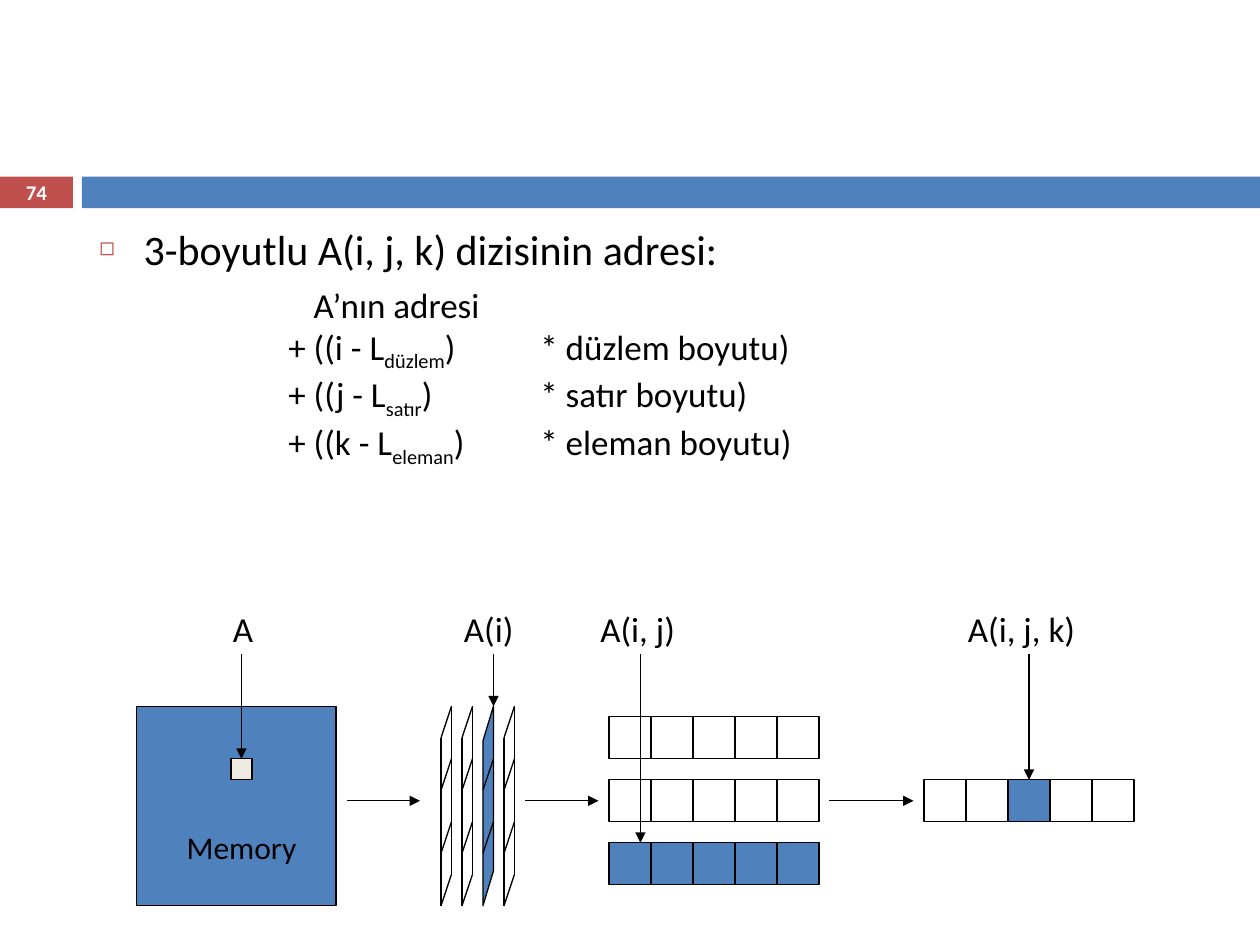
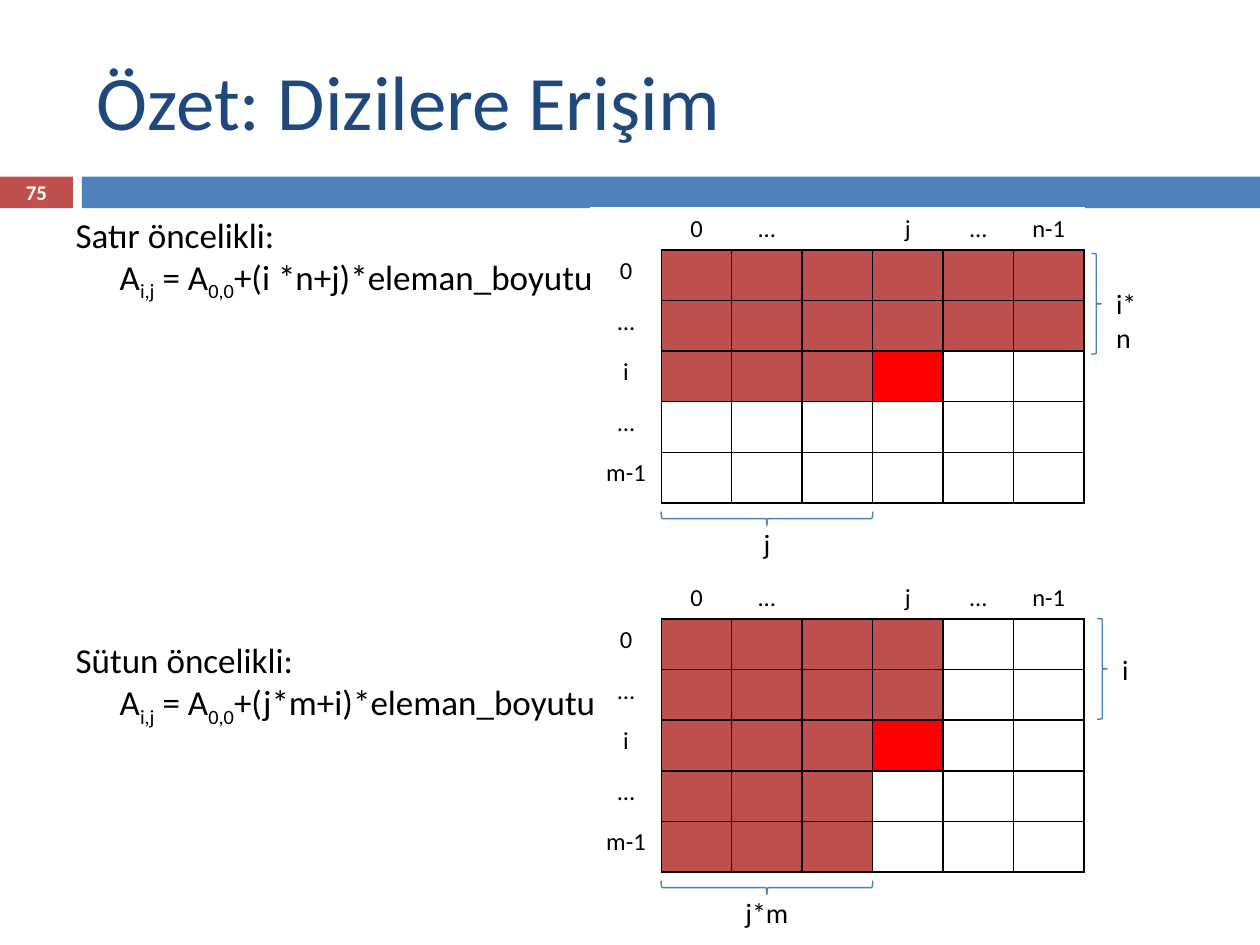
from dataclasses import dataclass
from typing import Callable, NamedTuple

from lxml.etree import SubElement
from pptx import Presentation
from pptx.dml.color import RGBColor as Rgb
from pptx.enum.shapes import MSO_CONNECTOR as Link, MSO_SHAPE as Kind
from pptx.enum.text import MSO_ANCHOR as Anchor, MSO_AUTO_SIZE as Fit, PP_ALIGN as Align
from pptx.oxml.ns import qn
from pptx.util import Cm, Pt

HUES = {
    "black": "000000", "white": "FFFFFF", "blue": "4F81BD", "navy": "1F497D",
    "brick": "C0504D", "red": "FF0000", "cream": "EEECE1",
}
FONT = "Calibri"
UNIT = 2.54 / 12  # grid step of the memory diagram, in cm
BASE = 13.18      # height at which its labels end
CELL = 4          # side of an array cell, in grid steps
ROWS = ["0", "…", "i", "…", "m-1"]
COLS = ["0", "…", "", "j", "…", "n-1"]
HIT = (2, 3)
COL_W, HEAD_H, ROW_H = 1.42, 0.84, 1.02
TABLE_X = 11.91


class Bit(NamedTuple):
    text: str
    sub: bool = False


@dataclass(frozen=True)
class Box:
    """Place and size in centimetres."""
    x: float
    y: float
    w: float
    h: float

    def lens(self) -> list:
        return [Cm(v) for v in (self.x, self.y, self.w, self.h)]


@dataclass(frozen=True)
class Para:
    bits: list[Bit]
    size: float
    left: float
    hang: float
    before: float = 0
    level: int = 0
    mark: str = ""


@dataclass(frozen=True)
class Panel:
    """One array table with its two braces."""
    top: float
    side_x: float
    side_gap: float
    side: str
    side_w: float
    foot: str
    foot_w: float
    used: Callable[[int, int], bool]


def rgb(hue: str) -> Rgb:
    return Rgb.from_string(HUES[hue])


def grid(x: float, y: float, w: float, h: float) -> Box:
    """Box from grid steps of the memory diagram."""
    return Box(x * UNIT, BASE + y * UNIT, w * UNIT, h * UNIT)


def write(p, bits: list[Bit], size: float, hue: str = "black", bold: bool = False) -> None:
    """Add runs; a line feed in a bit becomes a line break."""
    for bit in bits:
        for i, part in enumerate(bit.text.split("\n")):
            if i:
                p.add_line_break()
            run = p.add_run()
            run.text = part
            font = run.font
            font.name, font.size, font.bold = FONT, Pt(size), bold
            font.color.rgb = rgb(hue)
            if bit.sub:
                font._element.set("baseline", "-25000")


def label(slide, box: Box, text: str, size: float, align=Align.LEFT,
          hue: str = "black", bold: bool = False, anchor=Anchor.TOP):
    shape = slide.shapes.add_textbox(*box.lens())
    frame = shape.text_frame
    frame.word_wrap, frame.vertical_anchor = True, anchor
    p = frame.paragraphs[0]
    p.alignment = align
    write(p, [Bit(text)], size, hue, bold)
    return shape


def draw(slide, kind, box: Box, fill: str = "", line: str = "", width: float = 0.75):
    shape = slide.shapes.add_shape(kind, *box.lens())
    shape.shadow.inherit = False
    if fill:
        shape.fill.solid()
        shape.fill.fore_color.rgb = rgb(fill)
    else:
        shape.fill.background()
    if line:
        shape.line.color.rgb, shape.line.width = rgb(line), Pt(width)
    else:
        shape.line.fill.background()
    return shape


def stroke(slide, x1: float, y1: float, x2: float, y2: float, head: bool = False):
    """Straight line between two grid points."""
    a, b = grid(x1, y1, 0, 0), grid(x2, y2, 0, 0)
    line = slide.shapes.add_connector(Link.STRAIGHT, Cm(a.x), Cm(a.y), Cm(b.x), Cm(b.y))
    line.line.color.rgb, line.line.width = rgb("black"), Pt(0.75)
    props = line._element.spPr
    if head:
        SubElement(props.find(qn("a:ln")), qn("a:tailEnd"), type="triangle")
    SubElement(props, qn("a:effectLst"))
    return line


def fill_body(slide, box: Box, paras: list[Para]) -> None:
    body = slide.placeholders[1]
    body.left, body.top, body.width, body.height = box.lens()
    frame = body.text_frame
    frame.auto_size = Fit.NONE
    for i, para in enumerate(paras):
        p = frame.add_paragraph() if i else frame.paragraphs[0]
        p.level, p.space_before = para.level, Pt(para.before)
        props = p._p.get_or_add_pPr()
        props.set("marL", str(Cm(para.left)))
        props.set("indent", str(Cm(para.hang)))
        props.set("defTabSz", str(Cm(2.54)))
        if para.mark:
            hue = SubElement(props, qn("a:buClr"))
            SubElement(hue, qn("a:srgbClr"), val=HUES["brick"])
            SubElement(props, qn("a:buSzPct"), val="60000")
            SubElement(props, qn("a:buChar"), char=para.mark)
        else:
            SubElement(props, qn("a:buNone"))
        write(p, para.bits, para.size)
    slide.shapes._spTree.append(body._element)  # text lies above the tables


def start(deck, page: int, title: str = ""):
    """New slide with title, bands and page number."""
    slide = deck.slides.add_slide(deck.slide_layouts[1])
    head = slide.shapes.title
    if title:
        head.left, head.top, head.width, head.height = Box(1.7, 0.64, 22.66, 2.74).lens()
        head.text_frame.vertical_anchor = Anchor.MIDDLE
        p = head.text_frame.paragraphs[0]
        p.alignment = Align.LEFT
        write(p, [Bit(title)], 44, "navy")
    else:
        head._element.getparent().remove(head._element)
    draw(slide, Kind.RECTANGLE, Box(0, 3.56, 1.47, 0.64), "brick")
    draw(slide, Kind.RECTANGLE, Box(1.65, 3.56, 23.75, 0.64), "blue")
    label(slide, Box(0, 3.53, 1.47, 0.69), str(page), 11.9, Align.CENTER,
          "white", True, Anchor.MIDDLE)
    return slide


def cells(slide, x: float, y: float, fills: list[str]) -> list:
    return [draw(slide, Kind.RECTANGLE, grid(x + CELL * i, y, CELL, CELL), fill, "black")
            for i, fill in enumerate(fills)]


def planes(slide) -> None:
    for x in (42, 44, 46, 48):
        if x == 46:
            plane = draw(slide, Kind.PARALLELOGRAM, grid(x - 9, 14, 19, 1), "blue", "black")
            plane.adjustments[0] = 3.31
            plane.rotation = 270
            plane._element.spPr.find(qn("a:xfrm")).set("flipH", "1")
        else:
            ends = [(x, 8), (x, 24), (x + 1, 21), (x + 1, 5), (x, 8)]
            for a, b in zip(ends, ends[1:]):
                stroke(slide, *a, *b)
        for y in (13, 19):
            stroke(slide, x, y, x + 1, y - 3)


def memory(slide) -> None:
    """Path from the whole memory to a single element."""
    draw(slide, Kind.RECTANGLE, grid(13, 5, 19, 19), "blue", "black")
    spot = draw(slide, Kind.RECTANGLE, grid(22, 10, 2, 2), "cream", "black")
    label(slide, grid(16, 16, 14, 5), "Memory", 18, Align.CENTER)
    planes(slide)
    for y, fill in ((6, ""), (12, ""), (18, "blue")):
        cells(slide, 58, y, [fill] * 5)
    row = cells(slide, 88, 12, ["", "", "blue", "", ""])
    for x, end in ((33, 40), (50, 57), (79, 87)):
        stroke(slide, x, 14, end, 14, True)

    marks = [("A", 21, 6, 23, 10), ("A(i)", 43, 9, 47, 5),
             ("A(i, j)", 56, 11, 61, 18), ("A(i, j, k)", 91, 14, 98, 12)]
    tags, drops = [], []
    for text, x, w, mid, end in marks:
        tags.append(label(slide, grid(x, -5, w, 5), text, 20))
        drops.append(stroke(slide, mid, 0, mid, end, True))
    drops[0].end_connect(spot, 0)
    drops[-1].begin_connect(tags[-1], 2)
    drops[-1].end_connect(row[2], 0)


def edge(cell, hues: dict[str, str]) -> None:
    """Set the cell borders, keyed L, R, T and B in this order."""
    props = cell._tc.get_or_add_tcPr()
    for i, (side, hue) in enumerate(hues.items()):
        line = SubElement(props, qn(f"a:ln{side}"), w=str(Pt(1)))
        fill = SubElement(line, qn("a:solidFill"))
        SubElement(fill, qn("a:srgbClr"), val=HUES[hue])
        props.insert(i, line)


def array(slide, panel: Panel) -> None:
    n_row, n_col = len(ROWS) + 1, len(COLS) + 1
    box = Box(TABLE_X, panel.top, COL_W * n_col, HEAD_H + ROW_H * len(ROWS))
    table = slide.shapes.add_table(n_row, n_col, *box.lens()).table
    table.first_row = table.horz_banding = False
    for col in table.columns:
        col.width = Cm(COL_W)
    for r, line in enumerate(table.rows):
        line.height = Cm(ROW_H if r else HEAD_H)
        for c, cell in enumerate(line.cells):
            inner = r > 0 and c > 0
            text, hue = "", "white"
            if inner:
                spot = (r - 1, c - 1)
                hue = "red" if spot == HIT else "brick" if panel.used(*spot) else "white"
            elif r or c:
                text = ROWS[r - 1] if r else COLS[c - 1]
            p = cell.text_frame.paragraphs[0]
            p.alignment = Align.CENTER
            if text:
                write(p, [Bit(text)], 14)
            else:
                SubElement(p._p, qn("a:endParaRPr"), sz="1400")
            cell.fill.solid()
            cell.fill.fore_color.rgb = rgb(hue)
            edge(cell, {"L": "black" if inner else "white",
                        "R": "black" if r else "white",
                        "T": "black" if inner else "white",
                        "B": "black" if c else "white"})

    side_y = panel.top + panel.side_gap
    draw(slide, Kind.RIGHT_BRACE, Box(panel.side_x, side_y, 0.2, 2.03), "", "blue", 0.79)
    label(slide, Box(panel.side_x + 0.25, side_y + 0.55, panel.side_w, 0.94), panel.side, 16)
    mid = TABLE_X + 2.5 * COL_W
    foot = draw(slide, Kind.RIGHT_BRACE, Box(mid - 0.14, panel.top + 4.13, 0.28, 4.27),
                "", "blue", 0.79)
    foot.rotation = 90
    label(slide, Box(mid - panel.foot_w / 2, panel.top + 6.29, panel.foot_w, 0.94),
          panel.foot, 16, Align.CENTER)


def term(var: str, low: str, size: str) -> Para:
    return Para([Bit(f"\t+ (({var} - L"), Bit(low, True), Bit(f") \t* {size} boyutu)")],
                20, 1.27, 0, level=1)


def rule(name: str, sum_: str, before: float) -> Para:
    return Para([Bit(f"{name} öncelikli:\nA"), Bit("i,j", True), Bit(" = A"),
                 Bit("0,0", True), Bit(f"+({sum_})*eleman_boyutu")], 20, 0.89, -0.89, before)


def main() -> None:
    deck = Presentation()
    deck.slide_width, deck.slide_height = Cm(25.4), Cm(19.05)

    cube = start(deck, 74)
    fill_body(cube, Box(1.75, 4.37, 22.48, 7.37), [
        Para([Bit("3-boyutlu A(i, j, k) dizisinin adresi:")], 24, 0.89, -0.89, 7, mark="◻"),
        Para([Bit("\t\tA’nın adresi")], 20, 1.78, -0.76, 5.5, 1),
        term("i", "düzlem", "düzlem"),
        term("j", "satır", "satır"),
        term("k", "eleman", "eleman"),
    ])
    memory(cube)

    recap = start(deck, 75, "Özet: Dizilere Erişim")
    row, col = HIT
    array(recap, Panel(4.19, 22, 0.92, "i*n", 1.17, "j", 1.22,
                       lambda r, c: (r, c) < (row, col)))
    array(recap, Panel(11.63, 22.12, 0.84, "i", 0.64, "j*m", 1.7,
                       lambda r, c: (c, r) < (col, row)))
    fill_body(recap, Box(1.27, 4.17, 22.86, 14.61), [
        rule("Satır", "i *n+j", 7),
        rule("Sütun", "j*m+i", 192),
    ])
    deck.save("out.pptx")


if __name__ == "__main__":
    main()
